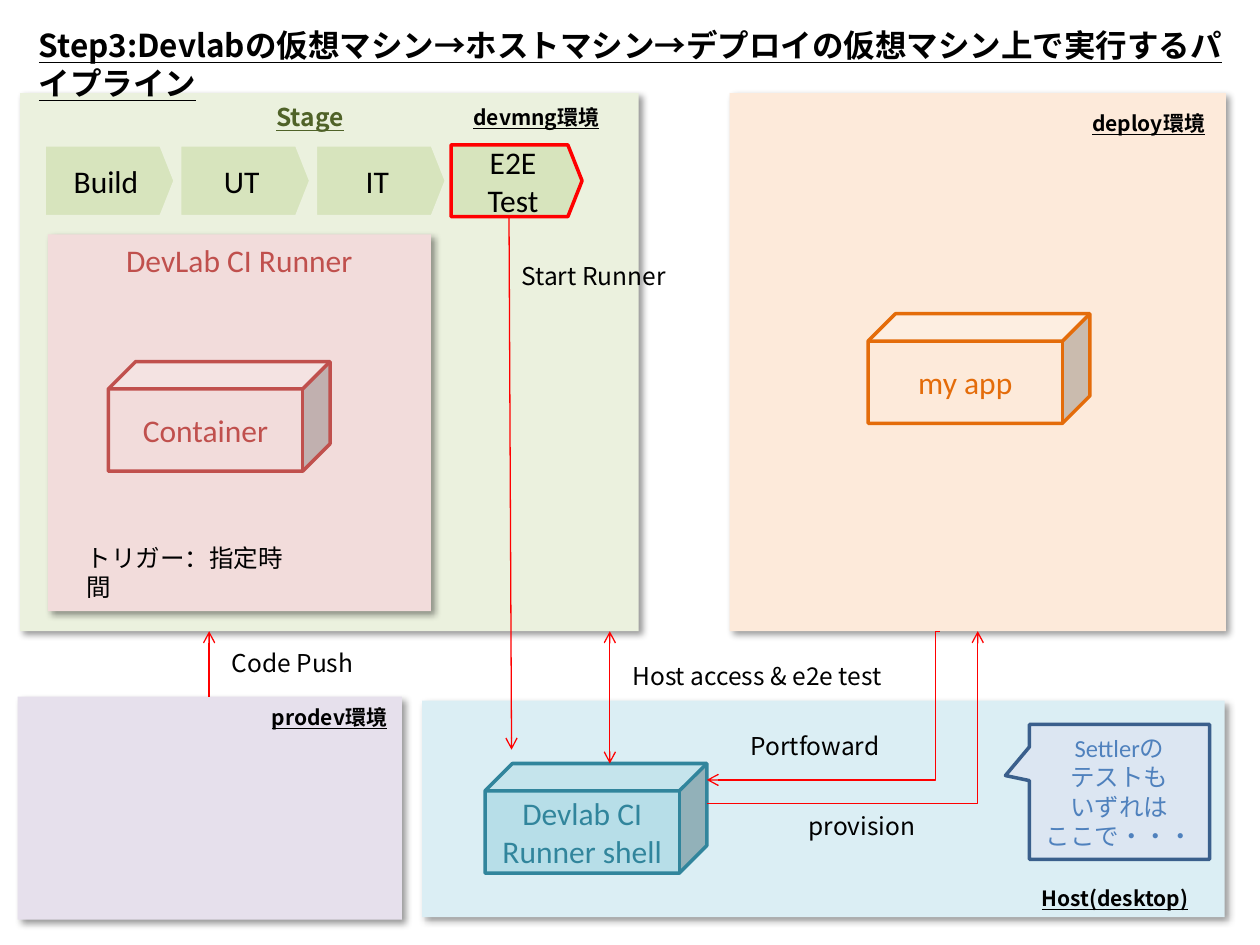
from lxml.etree import SubElement
from pptx import Presentation
from pptx.dml.color import RGBColor
from pptx.enum.shapes import MSO_CONNECTOR as LINK, MSO_SHAPE as KIND
from pptx.enum.text import MSO_ANCHOR, PP_ALIGN
from pptx.oxml.ns import qn
from pptx.util import Inches, Pt

SANS, BODY = "Noto Sans CJK JP", "Calibri"
HEX = dict(black="000000", red="FF0000", green="EBF1DE", leaf="D7E4BD",
           moss="4F6228", peach="FDEADA", orange="E46C0A", ice="DBEEF4",
           aqua="B7DEE8", teal="31859C", pink="F2DCDB", rose="C0504D",
           lilac="E6E0EC", sky="DCE6F2", blue="4F81BD", navy="3A5F8C")

# Content: left, top, width, height, fill, heading, heading colour
PANELS = [
    (0.16, 0.74, 4.91, 4.27, "green", [], "black"),
    (5.79, 0.74, 3.94, 4.27, "peach", [], "black"),
    (3.35, 5.56, 6.37, 1.72, "ice", [], "black"),
    (0.14, 5.53, 3.05, 1.77, "lilac", [], "black"),
    (0.38, 1.86, 3.04, 2.99, "pink", ["DevLab CI Runner"], "rose"),
]
STAGES = [("Build", "green"), ("UT", "green"), ("IT", "green"),
          ("E2E Test", "red")]
# left, top, fill, ink, lines
CUBES = [
    (3.85, 6.06, "aqua", "teal", ["Devlab CI", "Runner shell"]),
    (0.86, 2.87, "pink", "rose", ["Container"]),
    (6.89, 2.49, "peach", "orange", ["my app"]),
]
NOTE = ["Settlerの", "テストも", "いずれは", "ここで・・・"]
# from, to, preset, arrow ends, bend
LINKS = [
    ((4.04, 1.72), (4.06, 5.95), "line", ["tailEnd"], None),
    ((4.84, 5.01), (4.84, 6.06), "line", ["headEnd", "tailEnd"], None),
    ((1.66, 5.53), (1.66, 5.01), "line", ["tailEnd"], None),
    ((5.61, 6.38), (7.76, 5.01), "bentConnector2", ["tailEnd"], None),
    ((7.46, 5.01), (5.61, 6.19), "bentConnector3", ["tailEnd"], 1800),
]
TITLE = "Step3:Devlabの仮想マシン→ホストマシン→デプロイの仮想マシン上で実行するパイプライン"
# left, top, width, text
NAMES = [
    (3.66, 0.78, 1.26, "devmng環境"),
    (8.57, 0.83, 1.13, "deploy環境"),
    (8.17, 6.98, 1.56, "Host(desktop)"),
    (2.06, 5.54, 1.16, "prodev環境"),
]
LABELS = [
    (6.32, 6.39, 1.06, "provision"),
    (1.74, 5.09, 1.21, "Code Push"),
    (4.04, 2.02, 1.43, "Start Runner"),
    (5.86, 5.75, 1.25, "Portfoward"),
    (4.92, 5.20, 2.38, "Host access & e2e test"),
    (0.59, 4.26, 1.76, "トリガー：指定時間"),
]

deck = Presentation()
deck.slide_width, deck.slide_height = Inches(10), Inches(7.5)
slide = deck.slides.add_slide(deck.slide_layouts[6])


def rgb(name):
    return RGBColor.from_string(HEX[name])


def write(shape, lines, size, ink, face, bold=False, mid=True, top=False):
    frame = shape.text_frame
    frame.word_wrap = True
    frame.vertical_anchor = MSO_ANCHOR.TOP if top else MSO_ANCHOR.MIDDLE
    for i, line in enumerate(lines):
        para = frame.add_paragraph() if i else frame.paragraphs[0]
        para.alignment = PP_ALIGN.CENTER if mid else PP_ALIGN.LEFT
        run = para.add_run()
        run.text = line
        font = run.font
        font.size, font.name, font.color.rgb = Pt(size), face, rgb(ink)
        if bold:
            font.bold = font.underline = True
        SubElement(font._element, qn("a:ea"), typeface=SANS)


def block(kind, box, fill, edge=None):
    shape = slide.shapes.add_shape(kind, *map(Inches, box))
    shape.shadow.inherit = False
    shape.fill.solid()
    shape.fill.fore_color.rgb = rgb(fill)
    if edge:
        shape.line.color.rgb, shape.line.width = rgb(edge), Pt(2)
    else:
        shape.line.fill.background()
    return shape


def shade(shape):
    fx = shape._element.spPr.find(qn("a:effectLst"))
    drop = SubElement(fx, qn("a:outerShdw"), blurRad=str(Pt(4)),
                      dist=str(Pt(3)), dir="2700000", algn="tl",
                      rotWithShape="0")
    tone = SubElement(drop, qn("a:srgbClr"), val=HEX["black"])
    SubElement(tone, qn("a:alpha"), val="40000")


def label(x, y, wide, text, size, ink="black", bold=False, mid=False):
    high = size / 72 * 1.2 + 0.1
    box = slide.shapes.add_textbox(*map(Inches, (x, y, wide, high)))
    write(box, [text], size, ink, SANS, bold, mid, top=True)


def link(start, end, form, tips, bend):
    kind = LINK.STRAIGHT if form == "line" else LINK.ELBOW
    wire = slide.shapes.add_connector(kind, *map(Inches, start + end))
    wire.line.color.rgb, wire.line.width = rgb("red"), Pt(0.75)
    props = wire._element.spPr
    geom = props.find(qn("a:prstGeom"))
    geom.set("prst", form)
    if bend:
        SubElement(geom.find(qn("a:avLst")), qn("a:gd"), name="adj1",
                   fmla=f"val {bend}")
    for tip in tips:
        SubElement(props.find(qn("a:ln")), qn("a:" + tip), type="arrow")
    SubElement(props, qn("a:effectLst"))


# Environment panels
for *box, fill, head, ink in PANELS:
    panel = block(KIND.RECTANGLE, box, fill)
    shade(panel)
    write(panel, head, 18, ink, BODY, top=True)

# Stage row
for i, (name, edge) in enumerate(STAGES):
    step = block(KIND.PENTAGON, (0.35 + i * 3.23 / 3, 1.15, 1.04, 0.57),
                 "leaf", edge)
    step.adjustments[0] = 0.198
    write(step, [name], 18, "black", BODY)

# Cubes
for x, y, fill, ink, lines in CUBES:
    write(block(KIND.CUBE, (x, y, 1.76, 0.87), fill, ink), lines, 18, ink, BODY)

# Arrows
for item in LINKS:
    link(*item)

# Callout
call = block(KIND.RECTANGULAR_CALLOUT, (8.17, 5.75, 1.43, 1.07), "sky", "navy")
call.adjustments[0], call.adjustments[1] = -0.633, -0.121
write(call, NOTE, 14, "blue", BODY)

# Title and labels
label(0.21, 0.16, 9.74, TITLE, 18, bold=True)
label(1.95, 0.76, 1.02, "Stage", 14, "moss", True, True)
for item in NAMES:
    label(*item, 12, bold=True)
for item in LABELS:
    label(*item, 14)

deck.save("out.pptx")
